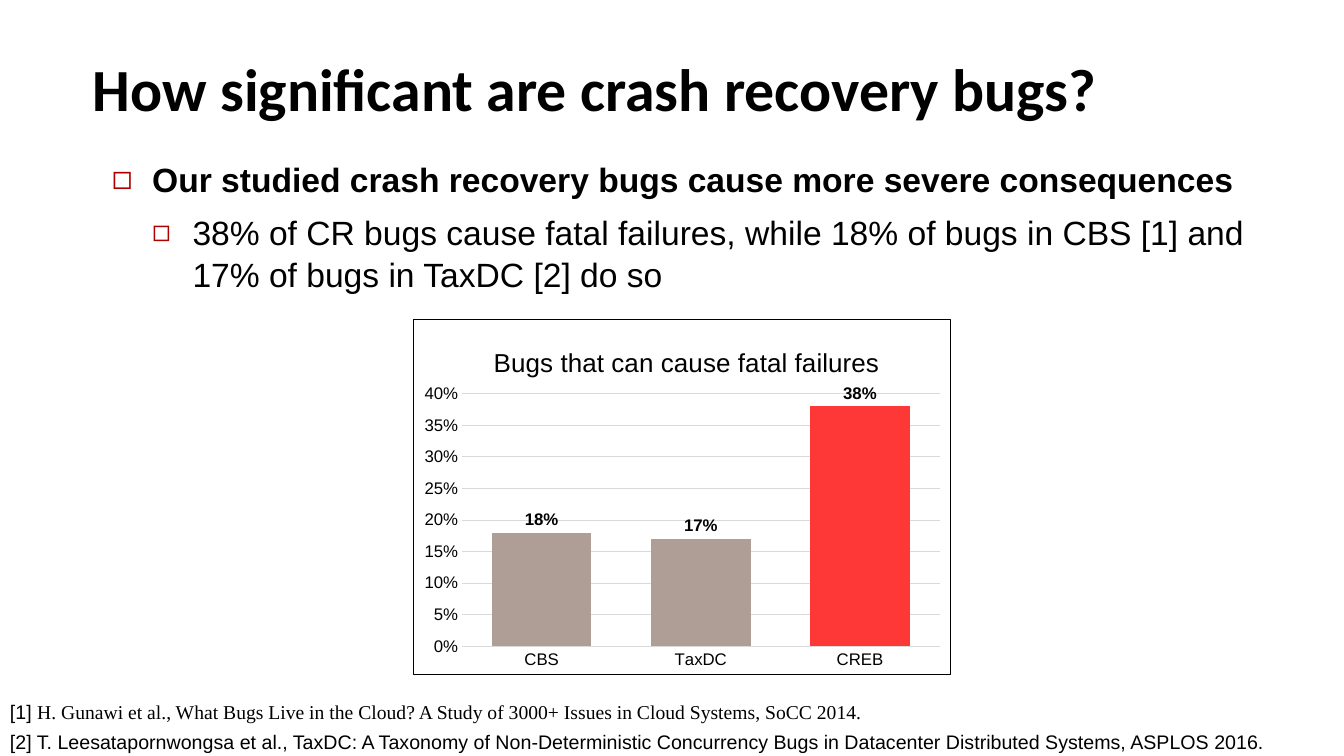
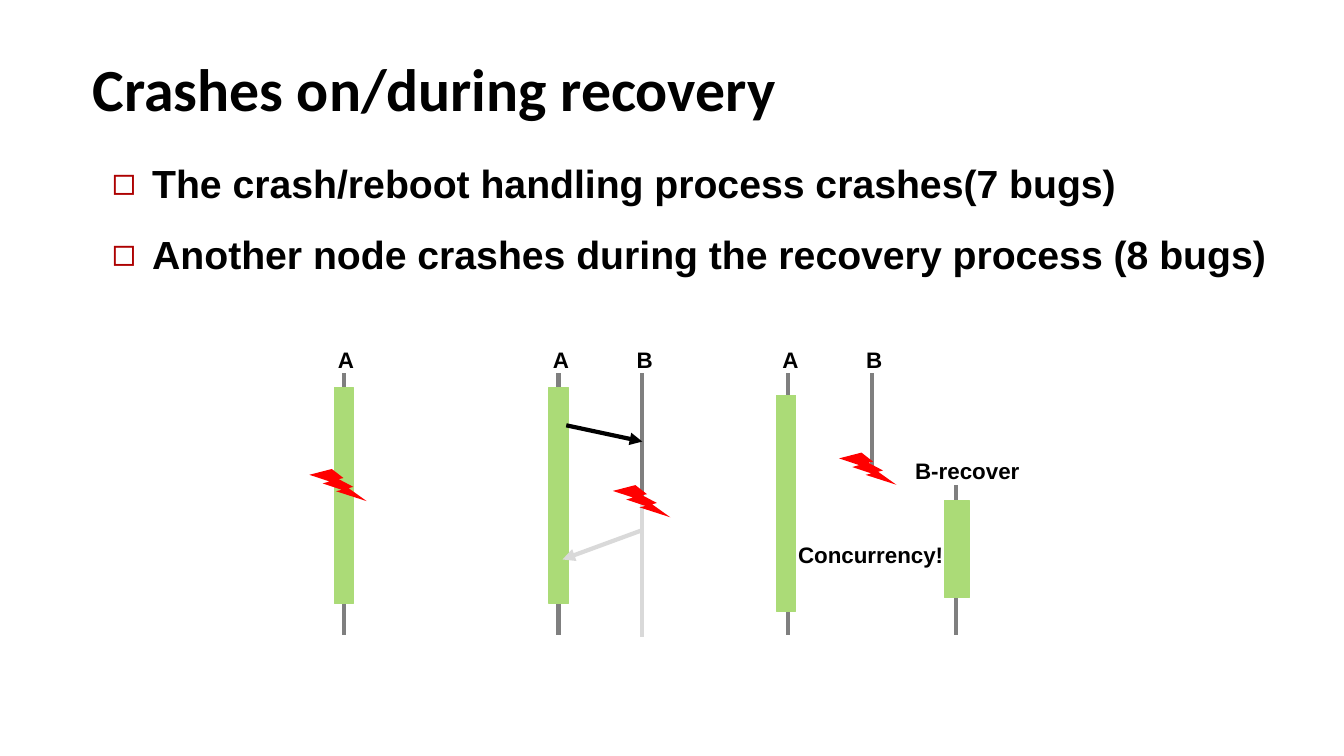
from lxml import etree
from pptx import Presentation
from pptx.chart.data import CategoryChartData
from pptx.dml.color import RGBColor
from pptx.enum.chart import XL_CHART_TYPE as ChartType, XL_LABEL_POSITION as LabelPosition
from pptx.enum.chart import XL_TICK_MARK as TickMark
from pptx.enum.shapes import MSO_CONNECTOR as Connector, MSO_SHAPE as Preset
from pptx.enum.text import MSO_ANCHOR as Anchor, MSO_AUTO_SIZE as AutoSize, PP_ALIGN as Align
from pptx.oxml import parse_xml
from pptx.oxml.ns import nsdecls, qn
from pptx.util import Pt

COLORS = {
    "text": "000000",
    "bullet": "AD0101",
    "lifeline": "7F7F7F",
    "faded": "D9D9D9",
    "process": "ABDB77",
    "crash": "FF0000",
    "related": "AF9E95",
    "ours": "FE3737",
}
LANE_TOP, LANE_BOTTOM = 266.5, 453.5
LANE_GAP = 59.8
BODY_INDENT = 28.8


def rgb(name):
    return RGBColor.from_string(COLORS[name])


def style_font(font, size, bold=False, name="Arial", color="text"):
    font.size, font.bold, font.name = Pt(size), bold, name
    font.color.rgb = rgb(color)


def write(paragraph, text, **font_format):
    run = paragraph.add_run()
    run.text = text
    style_font(run.font, **font_format)


def place(shape, left, top, width, height):
    shape.left, shape.top, shape.width, shape.height = map(Pt, (left, top, width, height))


def add_bullet(paragraph, level, percent):
    properties = paragraph._p.get_or_add_pPr()
    properties.set("marL", str(Pt(BODY_INDENT * (level + 1))))
    properties.set("indent", str(Pt(-BODY_INDENT)))
    for markup in (
        f'<a:buClr {nsdecls("a")}><a:srgbClr val="{COLORS["bullet"]}"/></a:buClr>',
        f'<a:buSzPct {nsdecls("a")} val="{percent * 1000}"/>',
        f'<a:buFont {nsdecls("a")} typeface="Arial"/>',
        f'<a:buChar {nsdecls("a")} char="◻"/>',
    ):
        properties.append(parse_xml(markup))


def add_topic_slide(deck, title, points, size, body_height):
    """Add a slide with a title and a list of (text, level) points."""
    slide = deck.slides.add_slide(deck.slide_layouts[1])
    heading, body = slide.shapes.title, slide.placeholders[1]
    place(heading, 59, 24.5, 852.5, 67)
    place(body, 72.7, 108.7, 838.8, body_height)

    heading.text_frame.auto_size = body.text_frame.auto_size = AutoSize.NONE
    heading.text_frame.vertical_anchor = Anchor.BOTTOM
    heading_line = heading.text_frame.paragraphs[0]
    heading_line.alignment = Align.LEFT
    heading_line.line_spacing = Pt(46.7)
    write(heading_line, title, size=42.7, bold=True, name="Calibri")

    for index, (text, level) in enumerate(points):
        point = body.text_frame.add_paragraph() if index else body.text_frame.paragraphs[0]
        point.level = level
        add_bullet(point, level, 90 if level else 100)
        point.line_spacing = 1.04
        point.space_before = Pt((8 if level else 16) if index else 0)
        write(point, text, size=size, bold=level == 0)
    return slide


def add_text_box(slide, left, top, width, height):
    box = slide.shapes.add_textbox(*map(Pt, (left, top, width, height)))
    box.text_frame.word_wrap = True
    return box.text_frame


def add_label(slide, text, left, top, width=28):
    frame = add_text_box(slide, left, top, width, 23)
    write(frame.paragraphs[0], text, size=16, bold=True)


def add_line(slide, start, end, color="lifeline", arrow=False):
    line = slide.shapes.add_connector(Connector.STRAIGHT, *map(Pt, start + end))
    line.line.width = Pt(3)
    line.line.color.rgb = rgb(color)
    if arrow:
        etree.SubElement(line.line._get_or_add_ln(), qn("a:tailEnd"), type="triangle")
    etree.SubElement(line._element.spPr, qn("a:effectLst"))


def add_block(slide, preset, color, left, top, width, height, outlined=False):
    block = slide.shapes.add_shape(preset, *map(Pt, (left, top, width, height)))
    block.shadow.inherit = False
    block.fill.solid()
    block.fill.fore_color.rgb = rgb(color)
    if outlined:
        block.line.color.rgb = rgb(color)
        block.line.width = Pt(0.75)
    else:
        block.line.fill.background()


def add_lane(slide, name, x, bottom=LANE_BOTTOM):
    """Draw a node's lifeline with its name above."""
    add_label(slide, name, x - 11.2, 243.4)
    add_line(slide, (x, LANE_TOP), (x, bottom))


def add_process(slide, x, top, width=13.7, height=154.3):
    add_block(slide, Preset.RECTANGLE, "process", x - width / 2, top, width, height, outlined=True)


def add_crash(slide, left, top):
    add_block(slide, Preset.LIGHTNING_BOLT, "crash", left, top, 41, 23)


def set_layout(successor, **fractions):
    """Fix a chart part's place, as fractions of the chart, just before successor."""
    parent = successor.getparent()
    for old in parent.findall(qn("c:layout")):
        parent.remove(old)
    layout = etree.Element(qn("c:layout"))
    manual = etree.SubElement(layout, qn("c:manualLayout"))
    if "w" in fractions:
        etree.SubElement(manual, qn("c:layoutTarget"), val="inner")
    for side in "xy":
        etree.SubElement(manual, qn(f"c:{side}Mode"), val="edge")
    for key, fraction in fractions.items():
        etree.SubElement(manual, qn(f"c:{key}"), val=str(fraction))
    successor.addprevious(layout)


def style_axis(axis):
    axis.major_tick_mark = axis.minor_tick_mark = TickMark.NONE
    style_font(axis.tick_labels.font, 12)


def add_failure_chart(slide):
    failures = CategoryChartData(number_format="0%")
    failures.categories = ["CBS", "TaxDC", "CREB"]
    failures.add_series("Series 1", [0.18, 0.17, 0.38])
    chart = slide.shapes.add_chart(
        ChartType.COLUMN_CLUSTERED, *map(Pt, (295.2, 227.5, 384, 255)), failures
    ).chart
    chart.has_legend = False
    style_font(chart.font, 10)
    write(chart.chart_title.text_frame.paragraphs[0], "Bugs that can cause fatal failures", size=18.6)
    set_layout(chart.chart_title._element.find(qn("c:overlay")), x=0.14, y=0.06)

    style_axis(chart.category_axis)
    chart.category_axis.format.line.color.rgb = rgb("faded")
    shares = chart.value_axis
    style_axis(shares)
    shares.minimum_scale, shares.maximum_scale, shares.major_unit = 0, 0.4, 0.05
    shares.tick_labels.number_format = "0%"
    shares.tick_labels.number_format_is_linked = False
    shares.format.line.fill.background()
    shares.major_gridlines.format.line.color.rgb = rgb("faded")
    shares.major_gridlines.format.line.width = Pt(0.75)

    plot = chart.plots[0]
    plot.gap_width = 60
    plot.vary_by_categories = False
    bars = plot.series[0]
    for fill, color in ((bars.format.fill, "related"), (bars.points[2].format.fill, "ours")):
        fill.solid()
        fill.fore_color.rgb = rgb(color)
    labels = bars.data_labels
    labels.show_value = True
    labels.position = LabelPosition.OUTSIDE_END
    labels.number_format, labels.number_format_is_linked = "0%", False
    style_font(labels.font, 12, bold=True)

    space = chart._chartSpace
    set_layout(space.find(".//" + qn("c:barChart")), x=0.09, y=0.21, w=0.89, h=0.71)
    space.find(qn("c:chart")).addnext(parse_xml(
        f'<c:spPr {nsdecls("c", "a")}><a:noFill/><a:ln w="{Pt(0.75)}"><a:solidFill>'
        f'<a:srgbClr val="{COLORS["text"]}"/></a:solidFill></a:ln></c:spPr>'
    ))


def add_references(slide):
    references = (
        ("[1] ", "H. Gunawi et al., What Bugs Live in the Cloud? A Study of 3000+ Issues in "
                 "Cloud Systems, SoCC 2014.", "Times New Roman"),
        ("[2] ", "T. Leesatapornwongsa et al., TaxDC: A Taxonomy of Non-Deterministic Concurrency "
                 "Bugs in Datacenter Distributed Systems, ASPLOS 2016.", "Arial"),
    )
    frame = add_text_box(slide, 0, 492.5, 946, 47.5)
    for index, (number, citation, font) in enumerate(references):
        reference = frame.add_paragraph() if index else frame.paragraphs[0]
        reference.line_spacing = 1.25
        write(reference, number, size=14)
        write(reference, citation, size=14, name=font)


def add_handler_crash(slide, node_a):
    add_lane(slide, "A", node_a)
    add_process(slide, node_a, 276.8)
    add_crash(slide, node_a - 24.5, 335)


def add_peer_crash(slide, node_a):
    node_b = node_a + LANE_GAP
    add_lane(slide, "A", node_a)
    add_process(slide, node_a, 276.8)
    add_lane(slide, "B", node_b)
    add_line(slide, (node_a + 5.5, 303.8), (node_b, 315.4), "text", arrow=True)
    add_line(slide, (node_b, 378.7), (node_a + 2.8, 399.6), "faded", arrow=True)
    add_line(slide, (node_b, 360), (node_b, 455), "faded")
    add_crash(slide, node_b - 21, 346.5)


def add_concurrent_recovery(slide, node_a):
    node_b, recovered = node_a + LANE_GAP, node_a + 2 * LANE_GAP
    add_lane(slide, "A", node_a)
    add_process(slide, node_a - 1.3, 282.3)
    add_lane(slide, "B", node_b, bottom=337.7)
    add_crash(slide, node_b - 23.5, 323.3)
    add_label(slide, "B-recover", 646.6, 322.8, width=126.7)
    add_line(slide, (recovered, 346.5), (recovered, LANE_BOTTOM))
    add_process(slide, recovered + 1, 357.8, width=18, height=69)
    add_label(slide, "Concurrency!", node_a, 383, width=202)


def main():
    deck = Presentation()
    deck.slide_width, deck.slide_height = Pt(960), Pt(540)

    significance = add_topic_slide(deck, "How significant are crash recovery bugs?", [
        ("Our studied crash recovery bugs cause more severe consequences", 0),
        ("38% of CR bugs cause fatal failures, while 18% of bugs in CBS [1] and "
         "17% of bugs in TaxDC [2] do so", 1),
    ], size=24, body_height=168.5)
    add_failure_chart(significance)
    add_references(significance)

    recovery = add_topic_slide(deck, "Crashes on/during recovery", [
        ("The crash/reboot handling process crashes(7 bugs)", 0),
        ("Another node crashes during the recovery process (8 bugs)", 0),
    ], size=28, body_height=125.3)
    add_handler_crash(recovery, 245.5)
    add_peer_crash(recovery, 399)
    add_concurrent_recovery(recovery, 563)

    deck.save("out.pptx")


if __name__ == "__main__":
    main()
